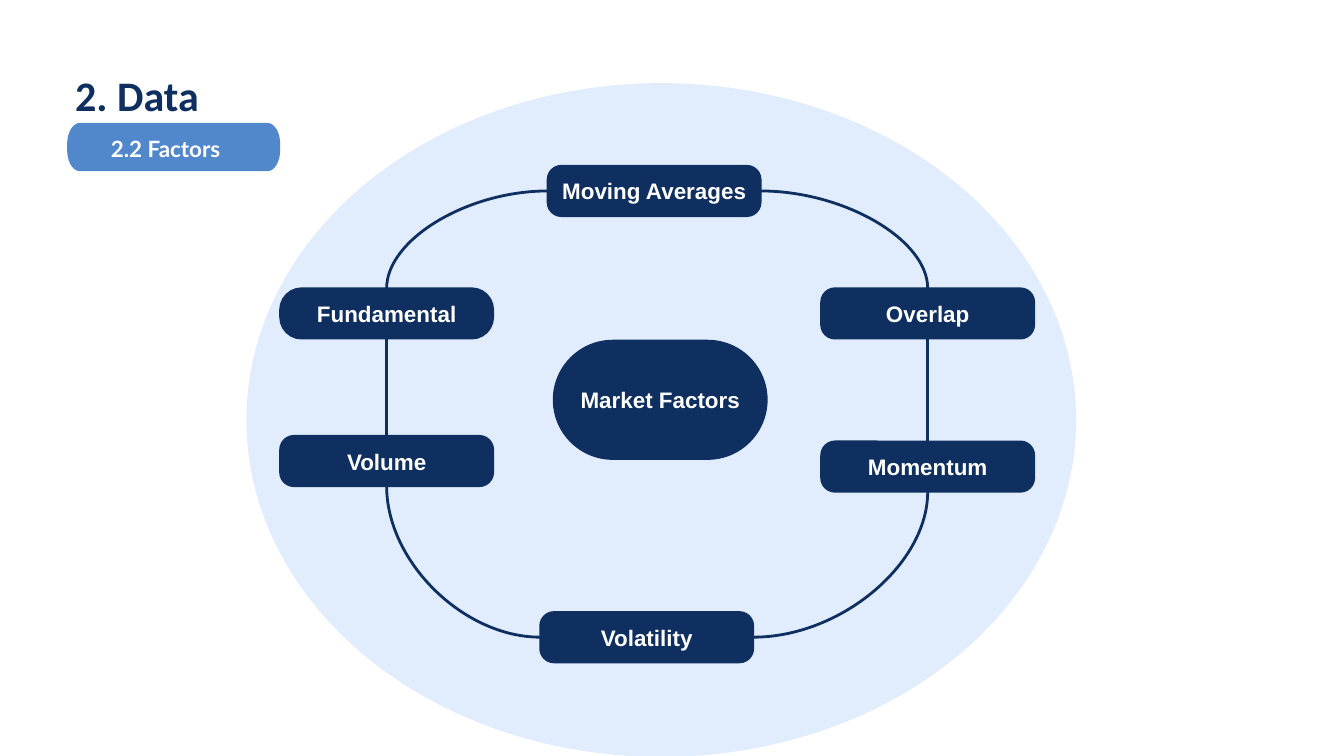
import math

from lxml import etree
from pptx import Presentation
from pptx import util as u
from pptx.dml.color import RGBColor
from pptx.enum import shapes, text
from pptx.oxml.ns import qn

COLOURS = {"navy": "0E2F5F", "blue": "5188CC", "pale": "E1EDFC", "white": "FFFFFF"}
TOP, LEFT, BOTTOM, RIGHT = range(4)  # connection sites of a rectangle
NODE_WIDTH, NODE_HEIGHT = 8.05, 1.9


class FactorSlide:
    """Holds the style and the current slide."""

    def __init__(self, deck):
        self.page = deck.slides.add_slide(deck.slide_layouts[5])

    def colour(self, name):
        return RGBColor.from_string(COLOURS[name])

    def paint(self, shape, fill, outlined=True):
        shape.shadow.inherit = False
        shape.fill.solid()
        shape.fill.fore_color.rgb = self.colour(fill)
        if outlined:
            shape.line.color.rgb = self.colour(fill)
            shape.line.width = u.Pt(2)
        else:
            shape.line.fill.background()

    def add_span(self, para, words, font, size, colour):
        span = para.add_run()
        span.text = words
        span.font.name = font
        span.font.size = u.Pt(size)
        span.font.bold = True
        span.font.color.rgb = self.colour(colour)

    def plain_text(self, box, words, font, size, colour, spacing):
        frame = box.text_frame
        frame.word_wrap = True
        frame.auto_size = text.MSO_AUTO_SIZE.NONE
        frame.vertical_anchor = text.MSO_ANCHOR.TOP
        frame.margin_left = frame.margin_right = 0
        frame.margin_top = frame.margin_bottom = 0
        para = frame.paragraphs[0]
        para.alignment = text.PP_ALIGN.LEFT
        para.line_spacing = u.Pt(spacing)
        self.add_span(para, words, font, size, colour)

    def title(self, words, left, top, width, height):
        box = self.page.shapes.title
        box.left, box.top = u.Cm(left), u.Cm(top)
        box.width, box.height = u.Cm(width), u.Cm(height)
        self.plain_text(box, words, "Calibri", 45, "navy", 57.1)

    def label(self, words, left, top, width, height):
        box = self.page.shapes.add_textbox(
            u.Cm(left), u.Cm(top), u.Cm(width), u.Cm(height))
        self.plain_text(box, words, "Lato", 24, "white", 32.2)

    def badge(self, left, top, width, height, radius_x, radius_y):
        """A rectangle whose corners are quarter ellipses."""
        centres = [(left + width - radius_x, top + height - radius_y),
                   (left + radius_x, top + height - radius_y),
                   (left + radius_x, top + radius_y),
                   (left + width - radius_x, top + radius_y)]
        points = []
        for corner, (x, y) in enumerate(centres):
            for step in range(13):
                angle = math.radians(90 * corner + 7.5 * step)
                points.append((u.Cm(x + radius_x * math.cos(angle)),
                               u.Cm(y + radius_y * math.sin(angle))))
        builder = self.page.shapes.build_freeform(*points[0])
        builder.add_line_segments(points[1:], close=True)
        self.paint(builder.convert_to_shape(), "blue", outlined=False)

    def ellipse(self, left, top, width, height):
        shape = self.page.shapes.add_shape(
            shapes.MSO_SHAPE.OVAL, u.Cm(left), u.Cm(top), u.Cm(width), u.Cm(height))
        self.paint(shape, "pale")

    def node(self, words, left, top, height=NODE_HEIGHT, rounding=0.274):
        shape = self.page.shapes.add_shape(
            shapes.MSO_SHAPE.ROUNDED_RECTANGLE,
            u.Cm(left), u.Cm(top), u.Cm(NODE_WIDTH), u.Cm(height))
        shape.adjustments[0] = rounding
        self.paint(shape, "navy")
        frame = shape.text_frame
        frame.word_wrap = True
        frame.vertical_anchor = text.MSO_ANCHOR.MIDDLE
        para = frame.paragraphs[0]
        para.alignment = text.PP_ALIGN.CENTER
        self.add_span(para, words, "Arial", 24, "white")
        return shape

    def link(self, start, start_site, end, end_site, curved=False):
        kind = shapes.MSO_CONNECTOR.CURVE if curved else shapes.MSO_CONNECTOR.STRAIGHT
        line = self.page.shapes.add_connector(kind, 0, 0, 0, 0)
        line.begin_connect(start, start_site)
        line.end_connect(end, end_site)
        line.line.color.rgb = self.colour("navy")
        line.line.width = u.Pt(3)
        properties = line._element.spPr
        if curved:  # a single quarter bend
            properties.find(qn("a:prstGeom")).set("prst", "curvedConnector2")
        etree.SubElement(properties, qn("a:effectLst"))


def main():
    deck = Presentation()
    deck.slide_width, deck.slide_height = u.Cm(50.8), u.Cm(28.58)
    slide = FactorSlide(deck)

    # Background and headings
    slide.ellipse(9.35, 3.18, 31.29, 25.4)
    slide.title("2. Data", 2.84, 2.51, 19.66, 1.96)
    slide.badge(2.54, 4.65, 8.05, 1.82, 0.48, 0.79)
    slide.label("2.2 Factors", 4.19, 4.98, 5.97, 1.04)

    # Factors around the centre
    left_column, right_column, upper_row = 10.59, 31.04, 10.9
    fundamental = slide.node("Fundamental", left_column, upper_row, rounding=0.427)
    averages = slide.node("Moving Averages", 20.7, 6.27)
    overlap = slide.node("Overlap", right_column, upper_row)
    momentum = slide.node("Momentum", right_column, 16.69)
    volume = slide.node("Volume", left_column, 16.48)
    volatility = slide.node("Volatility", 20.42, 23.14)
    slide.node("Market Factors", 20.93, 12.88, height=4.47, rounding=0.5)

    # Ring of connectors
    slide.link(averages, LEFT, fundamental, TOP, curved=True)
    slide.link(averages, RIGHT, overlap, TOP, curved=True)
    slide.link(volatility, LEFT, volume, BOTTOM, curved=True)
    slide.link(volatility, RIGHT, momentum, BOTTOM, curved=True)
    slide.link(fundamental, BOTTOM, volume, TOP)
    slide.link(overlap, BOTTOM, momentum, TOP)

    deck.save("out.pptx")


if __name__ == "__main__":
    main()
